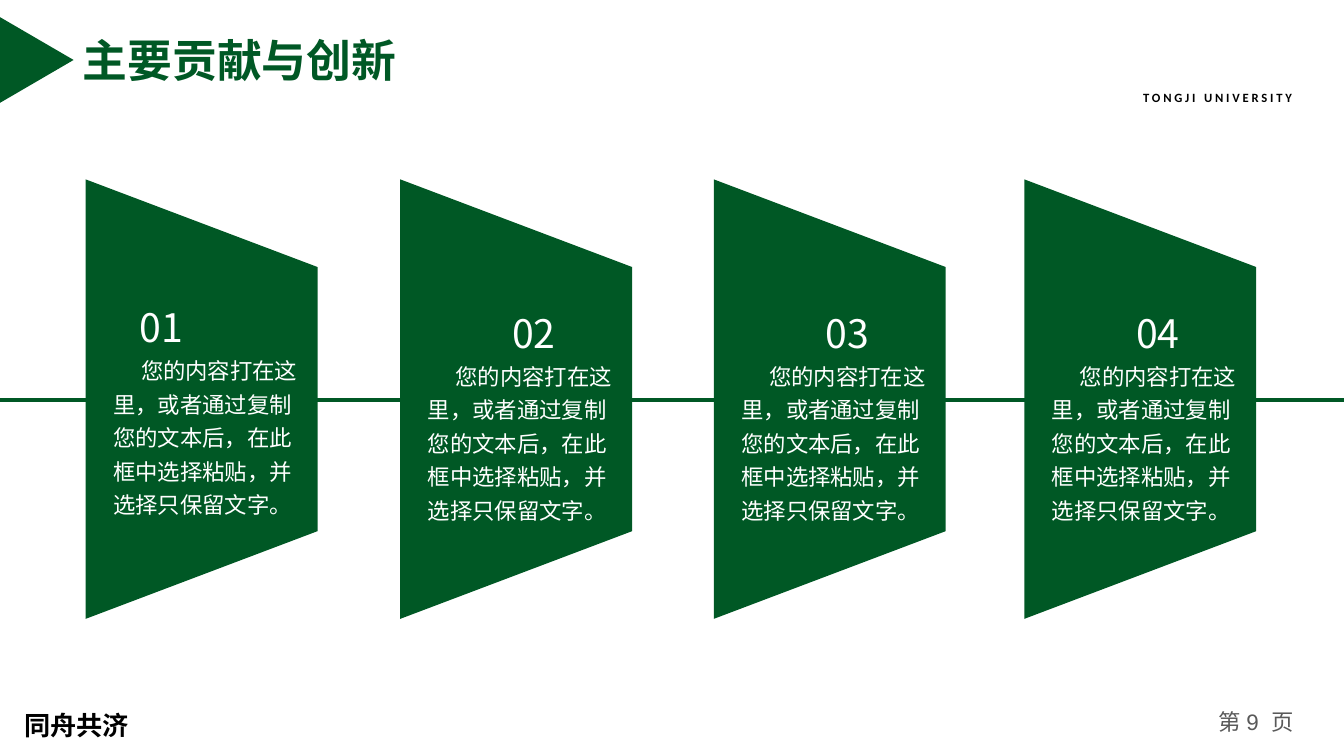
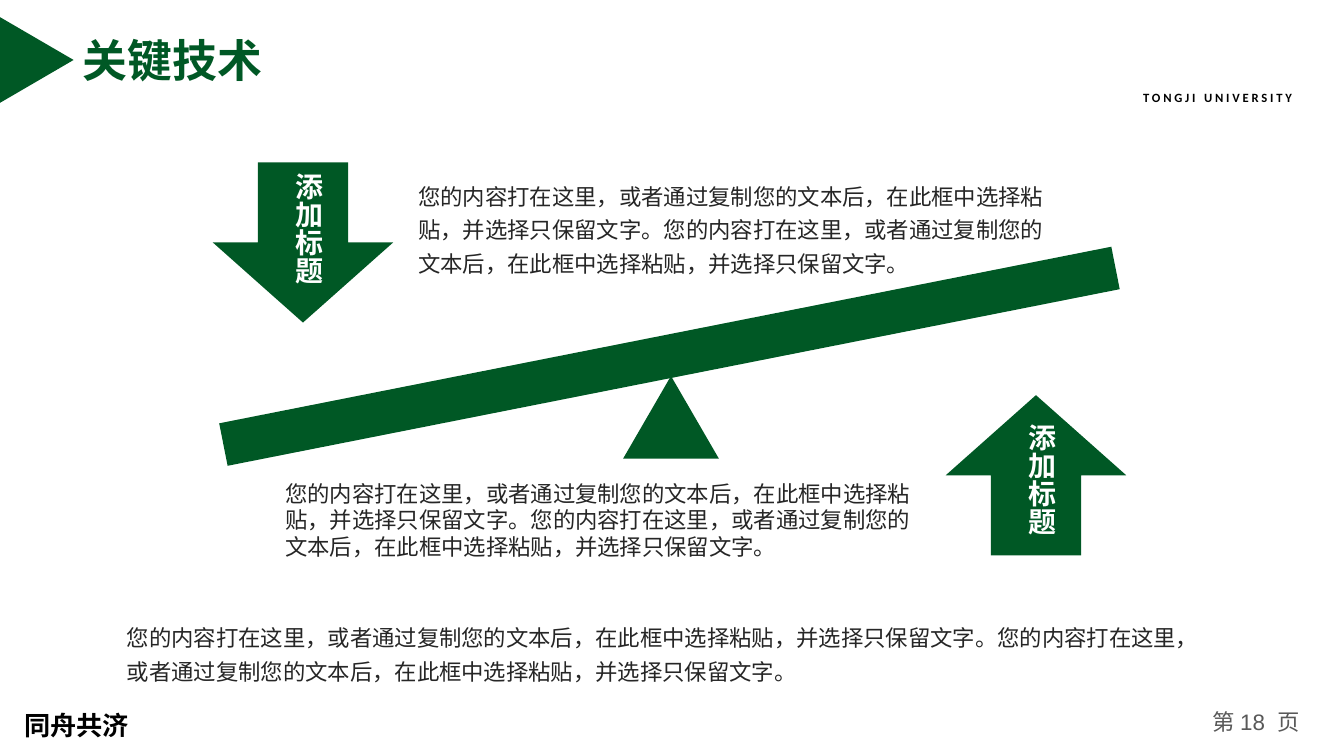
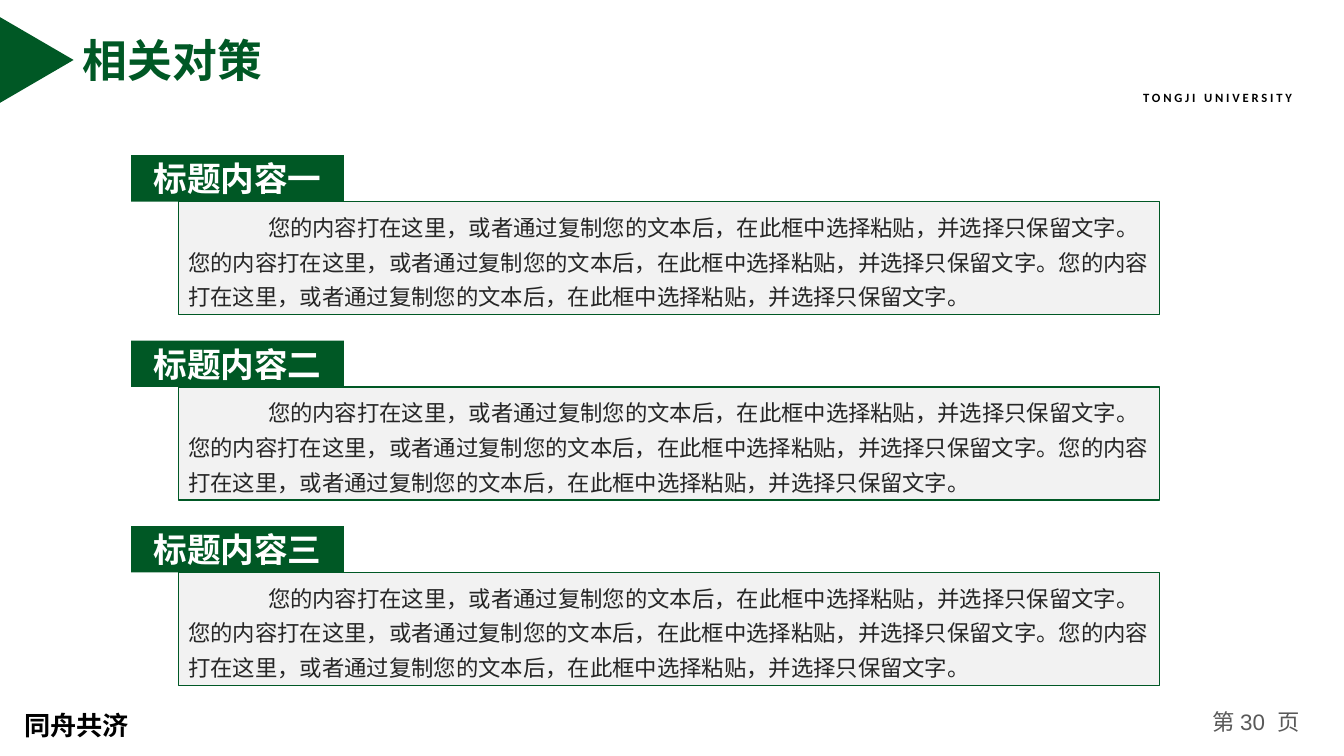
"""Build three green slides: contributions, key technology and countermeasures."""
from pptx import Presentation
from pptx.dml.color import RGBColor
from pptx.enum.shapes import MSO_CONNECTOR, MSO_SHAPE as Shape
from pptx.enum.text import MSO_ANCHOR as Anchor, MSO_AUTO_SIZE, PP_ALIGN as Align
from pptx.oxml.ns import qn
from pptx.util import Inches, Pt

GREEN = RGBColor(0x00, 0x58, 0x25)
WHITE = RGBColor(0xFF, 0xFF, 0xFF)
BLACK = RGBColor(0x00, 0x00, 0x00)
DARK = RGBColor(0x26, 0x26, 0x26)
GREY = RGBColor(0x59, 0x59, 0x59)
PALE = RGBColor(0xF2, 0xF2, 0xF2)
CJK = "Noto Sans CJK SC"

TITLE = dict(size=Pt(32), bold=True, name="Arial", color=GREEN)
BODY = dict(size=Pt(16), name=CJK, color=DARK)
NUMBER = dict(size=Pt(28), name=CJK, color=WHITE)
PANEL = dict(size=Pt(16), name=CJK, color=WHITE)
ARROW = dict(size=Pt(20), bold=True, name=CJK, color=WHITE)
HEADING = dict(size=Pt(24), bold=True, name=CJK, color=WHITE)
PAGE = dict(size=Pt(16), name=CJK, color=GREY)
MOTTO = dict(size=Pt(18.7), bold=True, name=CJK, color=BLACK)
SCHOOL = dict(size=Pt(9), bold=True, name="Calibri", color=BLACK)

LEFT = dict(alignment=Align.LEFT)
CENTER = dict(alignment=Align.CENTER)
LOOSE = dict(alignment=Align.LEFT, line_spacing=1.25)
LOOSE_CENTER = dict(alignment=Align.CENTER, line_spacing=1.25)
CARD = dict(alignment=Align.LEFT, line_spacing=1.3)

SENTENCE = "您的内容打在这里，或者通过复制您的文本后，在此框中选择粘贴，并选择只保留文字。"
PANELS = [
    ("01", 0.85, 2.96, LEFT),
    ("02", 3.97, 2.9, LOOSE_CENTER),
    ("03", 7.08, 2.9, LOOSE_CENTER),
    ("04", 10.16, 2.9, LOOSE_CENTER),
]
PANEL_OUTLINE = [(0, 4.36), (0, 0), (2.3, 0.87), (2.3, 3.49)]
NOTES = [
    ((4.05, 1.7, 6.49, 1.08), LOOSE),
    ((2.73, 4.71, 6.62, 0.91), LEFT),
    ((1.16, 6.08, 10.99, 0.74), LOOSE),
]
ARROWS = [
    (Shape.DOWN_ARROW, 2.11, 1.61, 0.01),
    (Shape.UP_ARROW, 9.38, 3.92, 0.19),
]
CARDS = ["标题内容一", "标题内容二", "标题内容三"]


def add_run(p, text, font, spacing=None):
    r = p.add_run()
    r.text = text
    for key, value in font.items():
        if key == "color":
            r.font.color.rgb = value
        else:
            setattr(r.font, key, value)
    rPr = r.font._element
    rPr.get_or_add_latin().addnext(rPr.makeelement(qn("a:ea"), {"typeface": CJK}))
    if spacing:
        rPr.set("spc", str(spacing))


def format_paragraph(p, style, indent=0):
    for key, value in style.items():
        setattr(p, key, value)
    if indent:
        p._p.get_or_add_pPr().set("indent", str(Inches(indent)))


def write(s, paragraphs, anchor=Anchor.TOP, vertical=False):
    """Fill a shape from (runs, paragraph style, indent) tuples."""
    tf = s.text_frame
    frame = dict(word_wrap=True, auto_size=MSO_AUTO_SIZE.NONE, vertical_anchor=anchor)
    for key, value in frame.items():
        setattr(tf, key, value)
    if vertical:
        tf._txBody.bodyPr.set("vert", "eaVert")
    for i, (runs, style, indent) in enumerate(paragraphs):
        p = tf.add_paragraph() if i else tf.paragraphs[0]
        format_paragraph(p, style, indent)
        for run in runs:
            add_run(p, *run)


def add_text(sp, box, paragraphs, **options):
    write(sp.add_textbox(*map(Inches, box)), paragraphs, **options)


def paint(s, fill=GREEN, line=None):
    s.shadow.inherit = False
    s.fill.solid()
    s.fill.fore_color.rgb = fill
    if line:
        s.line.color.rgb = line
        s.line.width = Pt(1)
    else:
        s.line.fill.background()
    return s


def add_block(sp, kind, box, rotation=0, **colors):
    s = paint(sp.add_shape(kind, *map(Inches, box)), **colors)
    s.rotation = rotation
    return s


def new_slide(prs, title, page):
    slide = prs.slides.add_slide(prs.slide_layouts[5])
    sp, s = slide.shapes, slide.shapes.title
    s.left, s.top, s.width, s.height = map(Inches, (0.69, 0.26, 9, 0.67))
    margins = dict(margin_left=0.13, margin_right=0.13, margin_top=0.07, margin_bottom=0.07)
    for key, value in margins.items():
        setattr(s.text_frame, key, Inches(value))
    write(s, [([(title, TITLE)], LEFT, 0)], anchor=Anchor.MIDDLE)
    add_block(sp, Shape.ISOSCELES_TRIANGLE, (-0.06, 0.23, 0.85, 0.73), 90)
    digits = dict(PAGE, name="Arial")
    page_runs = [("第 ", PAGE), (str(page), digits), (" ", digits, 440), ("页", PAGE)]
    add_text(sp, (11.86, 6.98, 1.2, 0.4), [(page_runs, CENTER, 0)])
    add_text(sp, (11.24, 0.84, 1.92, 0.24), [([("TONGJI UNIVERSITY", SCHOOL, 200)], LEFT, 0)])
    motto_style = dict(alignment=Align.LEFT, line_spacing=1.5)
    add_text(sp, (0.14, 6.83, 1.37, 0.53), [([("同舟共济", MOTTO)], motto_style, 0)])
    return sp


def add_contributions(prs):
    sp = new_slide(prs, "主要贡献与创新", 9)
    y = Inches(3.97)
    axis = sp.add_connector(MSO_CONNECTOR.STRAIGHT, 0, y, prs.slide_width, y)
    axis.line.color.rgb = GREEN
    axis.line.width = Pt(3)
    spPr = axis._element.spPr
    spPr.append(spPr.makeelement(qn("a:effectLst"), {}))
    for number, left, text_top, style in PANELS:
        points = [(Inches(left + x), Inches(1.78 + dy)) for x, dy in PANEL_OUTLINE]
        outline = sp.build_freeform(*points[0], scale=1.0)
        outline.add_line_segments(points[1:], close=True)
        paint(outline.convert_to_shape())
        add_text(sp, (left + 0.11, text_top, 2.1, 2.3), [
            ([(number, NUMBER)], style, 0.33),
            ([(SENTENCE, PANEL)], LOOSE_CENTER, 0.33),
        ])


def add_technology(prs):
    sp = new_slide(prs, "关键技术", 18)
    for box, style in NOTES:
        add_text(sp, box, [([(SENTENCE * 2, BODY)], style, 0)])
    add_block(sp, Shape.RECTANGLE, (2.13, 3.32, 9.02, 0.43), 348.8)
    add_block(sp, Shape.ISOSCELES_TRIANGLE, (6.18, 3.73, 0.95, 0.82))
    for kind, left, top, drop in ARROWS:
        add_block(sp, kind, (left, top, 1.79, 1.59))
        add_text(sp, (left + 0.63, top + drop, 0.54, 1.37),
                 [([("添加标题", ARROW)], CENTER, 0)], vertical=True)


def add_countermeasures(prs):
    sp = new_slide(prs, "相关对策", 30)
    for i, heading in enumerate(CARDS):
        top = 1.54 + 1.84 * i
        card = add_block(sp, Shape.RECTANGLE, (1.77, top + 0.46, 9.73, 1.12), fill=PALE, line=GREEN)
        write(card, [([(SENTENCE * 3, BODY)], CARD, 0.79)], anchor=Anchor.MIDDLE)
        tab = add_block(sp, Shape.RECTANGLE, (1.3, top, 2.11, 0.46))
        write(tab, [([(heading, HEADING)], CENTER, 0)], anchor=Anchor.MIDDLE)


def main():
    prs = Presentation()
    prs.slide_width, prs.slide_height = Inches(13.33), Inches(7.5)
    add_contributions(prs)
    add_technology(prs)
    add_countermeasures(prs)
    prs.save("out.pptx")


if __name__ == "__main__":
    main()
